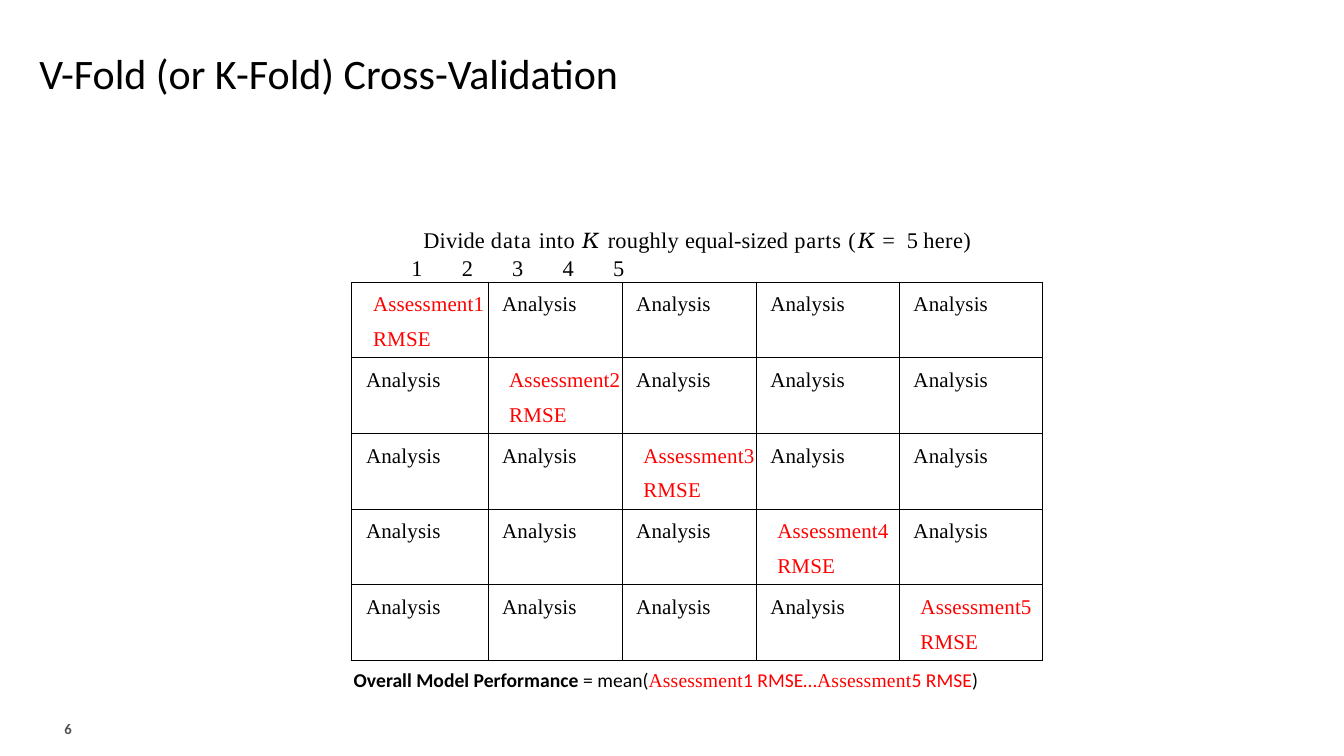
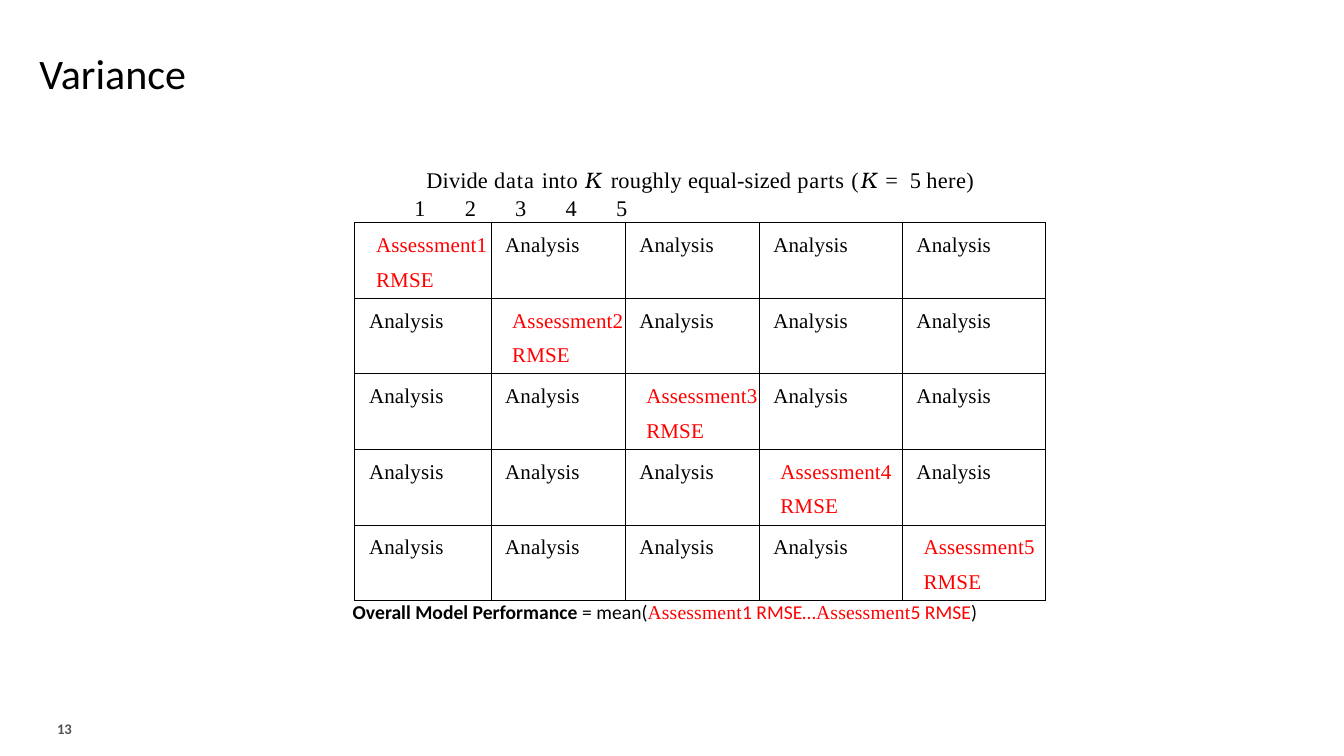
from collections import namedtuple

from lxml.etree import SubElement
from pptx import Presentation
from pptx.dml.color import RGBColor
from pptx.enum.text import MSO_ANCHOR, MSO_AUTO_SIZE, PP_ALIGN
from pptx.oxml.ns import qn
from pptx.util import Inches, Pt

BLACK = RGBColor(0x00, 0x00, 0x00)
RED = RGBColor(0xFF, 0x00, 0x00)
GREY = RGBColor(0x50, 0x53, 0x50)
SANS, SERIF, MATH = "Calibri", "Times New Roman", "TeX Gyre Bonum"

Span = namedtuple("Span", "text font spacing color bold", defaults=(SERIF, 0, BLACK, False))

DIVISION = [
    Span("Divide ", spacing=0.1), Span("data ", spacing=0.7), Span("into ", spacing=0.3),
    Span("K ", MATH, 1.3), Span("roughly ", spacing=0.2), Span("equal-sized ", spacing=0.1),
    Span("parts ", spacing=0.6), Span("(", spacing=0.9), Span("K ", MATH, 0.9),
    Span("= ", spacing=2.2), Span("5 ", spacing=-0.1), Span("here)", spacing=0.3),
]
PERFORMANCE = [
    Span("Overall Model Performance ", SANS, bold=True), Span("= mean(", SANS),
    Span("Assessment", SERIF, 0.1, RED), Span("1 RMSE…", SANS, color=RED),
    Span("Assessment", SERIF, 0.1, RED), Span("5 RMSE", SANS, color=RED), Span(")", SANS),
]
FOLD_WIDTHS = [1.35, 1.33, 1.33, 1.42, 1.42]
FOLD_HEIGHT = 0.75
NUMBER_STOPS = [0.63, 1.92, 3.19, 4.53, 5.97]
FOLDS = range(len(FOLD_WIDTHS))


class Deck:
    """Holds the shared style and the slide being built."""

    def __init__(self):
        self.presentation = Presentation()
        self.presentation.slide_width = Inches(13.33)
        self.presentation.slide_height = Inches(7.5)
        self.slide = None

    def add_slide(self, title, number):
        """Start a slide with its title and number."""
        self.slide = self.presentation.slides.add_slide(self.presentation.slide_layouts[5])
        heading = self.slide.shapes.title
        heading.left, heading.top = Inches(0.29), Inches(0.26)
        heading.width, heading.height = Inches(12.75), Inches(0.99)
        frame = heading.text_frame
        frame.auto_size = MSO_AUTO_SIZE.NONE
        frame.vertical_anchor = MSO_ANCHOR.MIDDLE
        paragraph = frame.paragraphs[0]
        paragraph.alignment, paragraph.line_spacing = PP_ALIGN.LEFT, 0.9
        self.add_spans(paragraph, [Span(title, SANS)], 30)

        footer = self.text_frame(0.32, 7.07, 0.49, 0.29)
        footer.vertical_anchor = MSO_ANCHOR.BOTTOM
        footer.paragraphs[0].alignment = PP_ALIGN.RIGHT
        self.add_spans(footer.paragraphs[0], [Span(str(number), SANS, color=GREY, bold=True)], 10.5)

    def text_frame(self, left, top, width, height):
        """Add a wrapping text box and return its frame."""
        box = self.slide.shapes.add_textbox(
            Inches(left), Inches(top), Inches(width), Inches(height))
        box.text_frame.word_wrap = True
        return box.text_frame

    def add_spans(self, paragraph, spans, size):
        """Fill a paragraph with styled runs."""
        for span in spans:
            run = paragraph.add_run()
            run.text = span.text
            font = run.font
            font.name, font.size, font.bold = span.font, Pt(size), span.bold
            font.italic = span.font == MATH
            font.color.rgb = span.color
            if span.spacing:
                run._r.get_or_add_rPr().set("spc", str(round(span.spacing * 100)))

    def indent(self, paragraph, inches):
        """Set the left indent of a paragraph and return its properties."""
        properties = paragraph._p.get_or_add_pPr()
        properties.set("marL", str(Inches(inches)))
        properties.set("indent", "0")
        return properties

    def add_division(self, left, top):
        """Add the line above the folds and the fold numbers."""
        frame = self.text_frame(left, top, 6.68, 0.57)
        frame.auto_size = MSO_AUTO_SIZE.SHAPE_TO_FIT_TEXT
        frame.margin_left = frame.margin_right = frame.margin_bottom = 0
        frame.margin_top = Inches(0.01)
        caption, numbers = frame.paragraphs[0], frame.add_paragraph()
        caption.alignment, numbers.alignment = PP_ALIGN.CENTER, PP_ALIGN.LEFT
        caption.space_before = numbers.space_before = Pt(0.9)
        self.indent(caption, 0.01)
        self.add_spans(caption, DIVISION, 16)
        stops = SubElement(self.indent(numbers, 0.01), qn("a:tabLst"))
        for stop in NUMBER_STOPS:
            SubElement(stops, qn("a:tab"), pos=str(Inches(stop)), algn="ctr")
        self.add_spans(numbers, [Span("".join(f"\t{fold + 1}" for fold in FOLDS))], 16)

    def add_folds(self, left, top):
        """Add the grid with one assessment fold on each row."""
        count = len(FOLDS)
        grid = self.slide.shapes.add_table(
            count, count, Inches(left), Inches(top),
            Inches(sum(FOLD_WIDTHS)), Inches(FOLD_HEIGHT * count)).table
        grid.first_row = grid.horz_banding = False
        for column, width in zip(grid.columns, FOLD_WIDTHS):
            column.width = Inches(width)
        for row in FOLDS:
            grid.rows[row].height = Inches(FOLD_HEIGHT)
            for column in FOLDS:
                if row == column:
                    lines, color, margin = [f"Assessment{row + 1}", "RMSE"], RED, 0.21
                else:
                    lines, color, margin = ["Analysis"], BLACK, 0.14
                self.fill_cell(grid.cell(row, column), lines, color, margin)

    def fill_cell(self, cell, lines, color, margin):
        """Set the lines of a cell and draw its borders."""
        cell.margin_left = cell.margin_right = cell.margin_bottom = 0
        cell.margin_top = Inches(0.11)
        cell.text_frame.text = "\n".join("" for _ in lines)
        for paragraph, line in zip(cell.text_frame.paragraphs, lines):
            paragraph.space_before = Pt(8.2)
            self.indent(paragraph, margin)
            self.add_spans(paragraph, [Span(line, SERIF, 0.1, color)], 15)
        properties = cell._tc.get_or_add_tcPr()
        for side in ("lnL", "lnR", "lnT", "lnB"):
            border = SubElement(properties, qn(f"a:{side}"), w=str(Pt(0.75)))
            fill = SubElement(border, qn("a:solidFill"))
            SubElement(fill, qn("a:srgbClr"), val=str(BLACK))
        cell.fill.background()

    def add_performance(self, left, top):
        """Add the formula for the overall performance."""
        frame = self.text_frame(left, top, 7.09, 0.32)
        frame.auto_size = MSO_AUTO_SIZE.SHAPE_TO_FIT_TEXT
        paragraph = frame.paragraphs[0]
        paragraph.line_spacing = 0.95
        paragraph.space_before, paragraph.space_after = Pt(4), Pt(2)
        self.add_spans(paragraph, PERFORMANCE, 14)


def main():
    deck = Deck()
    for title, number, left, top, formula_left, formula_top in (
        ("V-Fold (or K-Fold) Cross-Validation", 6, 3.49, 2.8, 3.41, 6.59),
        ("Variance", 13, 3.52, 2.21, 3.4, 5.92),
    ):
        deck.add_slide(title, number)
        deck.add_folds(left, top)
        deck.add_division(left + 0.08, top - 0.57)
        deck.add_performance(formula_left, formula_top)
    deck.presentation.save("out.pptx")


if __name__ == "__main__":
    main()
